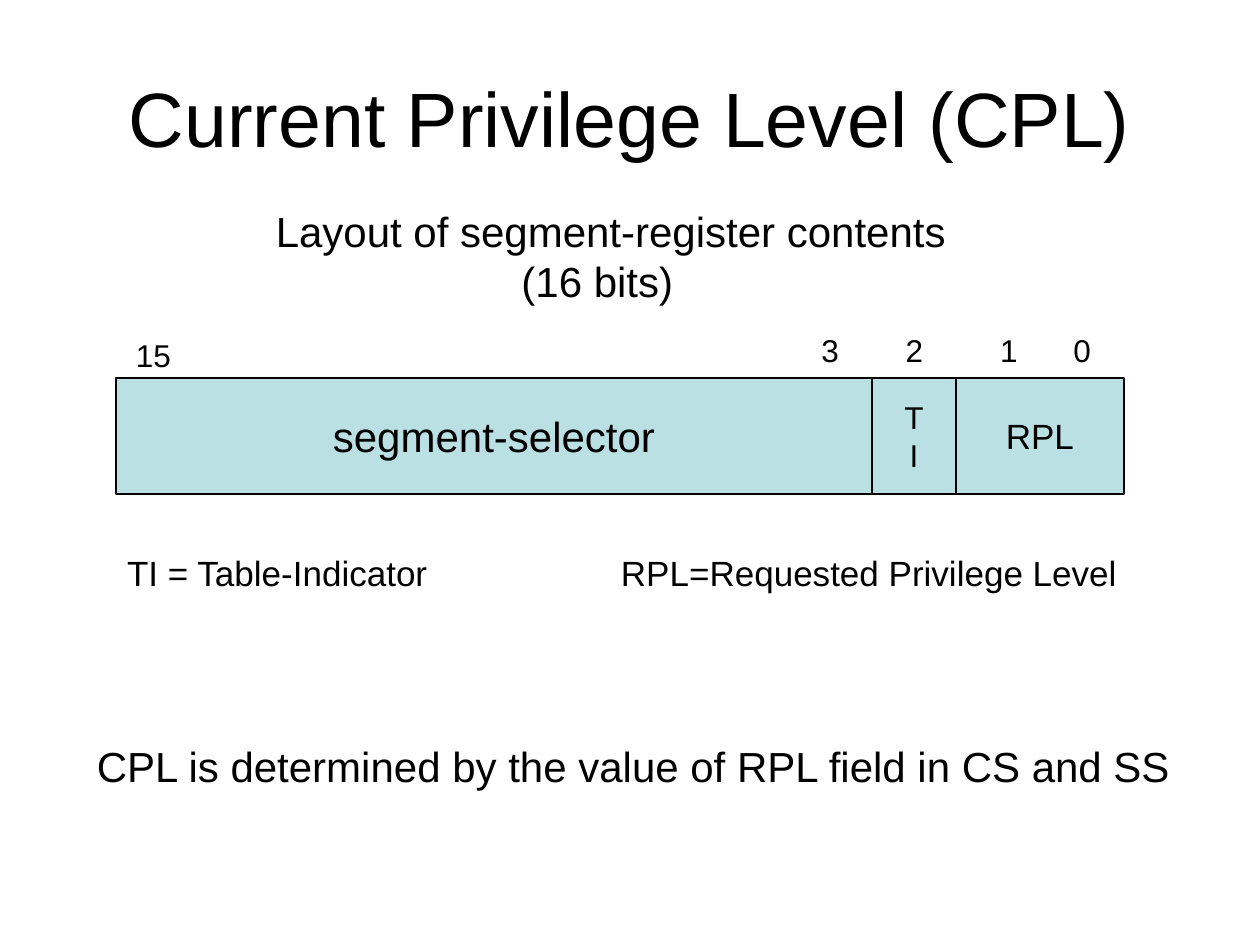
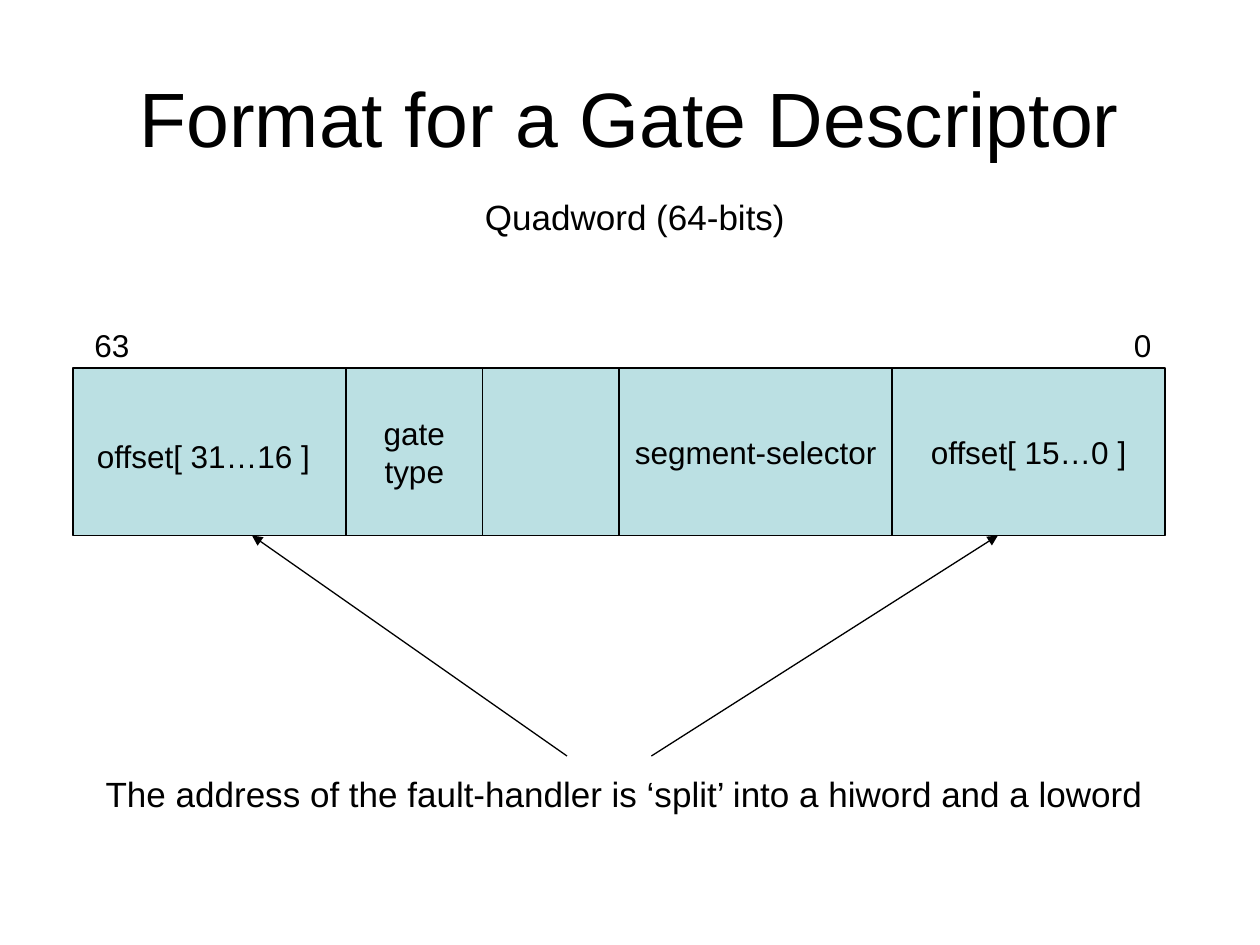
import pptx
import pptx.dml.color
import pptx.enum.shapes
import pptx.enum.text
import pptx.oxml
import pptx.oxml.ns
import pptx.util

Inches = pptx.util.Inches
Align = pptx.enum.text.PP_ALIGN
Anchor = pptx.enum.text.MSO_ANCHOR

COLORS = {"ink": "000000", "field": "BBE0E3", "background": "FFFFFF"}
FONT = "Arial"
LINE_WIDTH = 0.75
DRAWING_NAMESPACE = pptx.oxml.ns.nsdecls("a")


def color(name):
    return pptx.dml.color.RGBColor.from_string(COLORS[name])


def style_text(text_frame, size, alignment):
    for paragraph in text_frame.paragraphs:
        paragraph.alignment = alignment
        for run in paragraph.runs:
            run.font.name = FONT
            run.font.size = pptx.util.Pt(size)
            run.font.color.rgb = color("ink")


def style_line(line):
    line.color.rgb = color("ink")
    line.width = pptx.util.Pt(LINE_WIDTH)


def add_slide(presentation, title):
    slide = presentation.slides.add_slide(presentation.slide_layouts[6])
    slide.background.fill.solid()
    slide.background.fill.fore_color.rgb = color("background")
    shape = slide.shapes.add_textbox(
        Inches(0.5), Inches(0.3), Inches(9), Inches(1.25))
    text_frame = shape.text_frame
    text_frame.word_wrap = True
    text_frame.vertical_anchor = Anchor.MIDDLE
    text_frame.text = title
    style_text(text_frame, 44, Align.CENTER)
    return slide


def add_label(slide, text, left, top, width, height, size):
    shape = slide.shapes.add_textbox(
        Inches(left), Inches(top), Inches(width), Inches(height))
    text_frame = shape.text_frame
    text_frame.word_wrap = False
    text_frame.auto_size = pptx.enum.text.MSO_AUTO_SIZE.SHAPE_TO_FIT_TEXT
    text_frame.text = text
    style_text(text_frame, size, Align.LEFT)
    return shape


def add_bit_number(slide, number, left, top):
    add_label(slide, number, left, top, 0.2 + 0.14 * len(number), 0.4, 18)


def add_field(slide, text, left, top, width, height, size):
    shape = slide.shapes.add_shape(
        pptx.enum.shapes.MSO_SHAPE.RECTANGLE,
        Inches(left), Inches(top), Inches(width), Inches(height))
    shape.shadow.inherit = False
    shape.fill.solid()
    shape.fill.fore_color.rgb = color("field")
    style_line(shape.line)
    text_frame = shape.text_frame
    text_frame.word_wrap = False
    text_frame.vertical_anchor = Anchor.MIDDLE
    text_frame.text = text
    style_text(text_frame, size, Align.CENTER)


def add_register(slide, left, top, height, unit, fields):
    for start, span, text, size in fields:
        add_field(slide, text, left + start * unit, top, span * unit, height, size)


def add_arrow(slide, start, end):
    connector = slide.shapes.add_connector(
        pptx.enum.shapes.MSO_CONNECTOR.STRAIGHT,
        *(Inches(value) for value in start + end))
    style_line(connector.line)
    connector.line._get_or_add_ln().append(
        pptx.oxml.parse_xml(f'<a:tailEnd {DRAWING_NAMESPACE} type="triangle"/>'))
    connector._element.spPr.append(
        pptx.oxml.parse_xml(f"<a:effectLst {DRAWING_NAMESPACE}/>"))


def build_privilege_level(presentation):
    slide = add_slide(presentation, "Current Privilege Level (CPL)")
    add_register(slide, 0.92, 3, 0.92, 8 / 12, [
        (0, 9, "segment-selector", 24),
        (10, 2, "RPL", 20),
        (9, 1, "T\nI", 18),
    ])
    for number, left in (("0", 8.42), ("1", 7.84), ("2", 7.09), ("3", 6.42)):
        add_bit_number(slide, number, left, 2.58)
    add_bit_number(slide, "15", 0.98, 2.62)
    add_label(slide, "TI = Table-Indicator", 0.91, 4.33, 2.62, 0.44, 20)
    add_label(slide, "RPL=Requested Privilege Level", 4.83, 4.33, 4.14, 0.44, 20)
    heading = add_label(
        slide, "Layout of segment-register contents\n(16 bits)",
        2.09, 1.58, 5.52, 0.9, 24)
    bit_count = heading.text_frame.paragraphs[1]
    bit_count._p.get_or_add_pPr().set("marL", str(Inches(1.95)))
    add_label(
        slide, "CPL is determined by the value of RPL field in CS and SS",
        0.67, 5.83, 8.74, 0.5, 24)


def build_gate_descriptor(presentation):
    slide = add_slide(presentation, "Format for a Gate Descriptor")
    add_register(slide, 0.58, 2.92, 1.33, 13 / 12, [
        (0, 2, "", 18),
        (2, 2, "", 18),
        (4, 2, "segment-selector", 18),
        (6, 2, "offset[ 15…0 ]", 18),
        (2, 1, "gate\ntype", 18),
    ])
    add_label(slide, "offset[ 31…16 ]", 0.67, 3.42, 1.89, 0.4, 18)
    add_bit_number(slide, "0", 8.9, 2.54)
    add_bit_number(slide, "63", 0.65, 2.54)
    add_label(slide, "Quadword (64-bits)", 3.75, 1.5, 2.58, 0.44, 20)
    add_label(
        slide,
        "The address of the fault-handler is ‘split’ into a hiword and a loword",
        0.74, 6.08, 8.44, 0.44, 20)
    add_arrow(slide, (4.5, 6), (2, 4.25))
    add_arrow(slide, (5.17, 6), (7.92, 4.25))


def main():
    presentation = pptx.Presentation()
    presentation.slide_width = Inches(10)
    presentation.slide_height = Inches(7.5)
    build_privilege_level(presentation)
    build_gate_descriptor(presentation)
    presentation.save("out.pptx")


if __name__ == "__main__":
    main()
